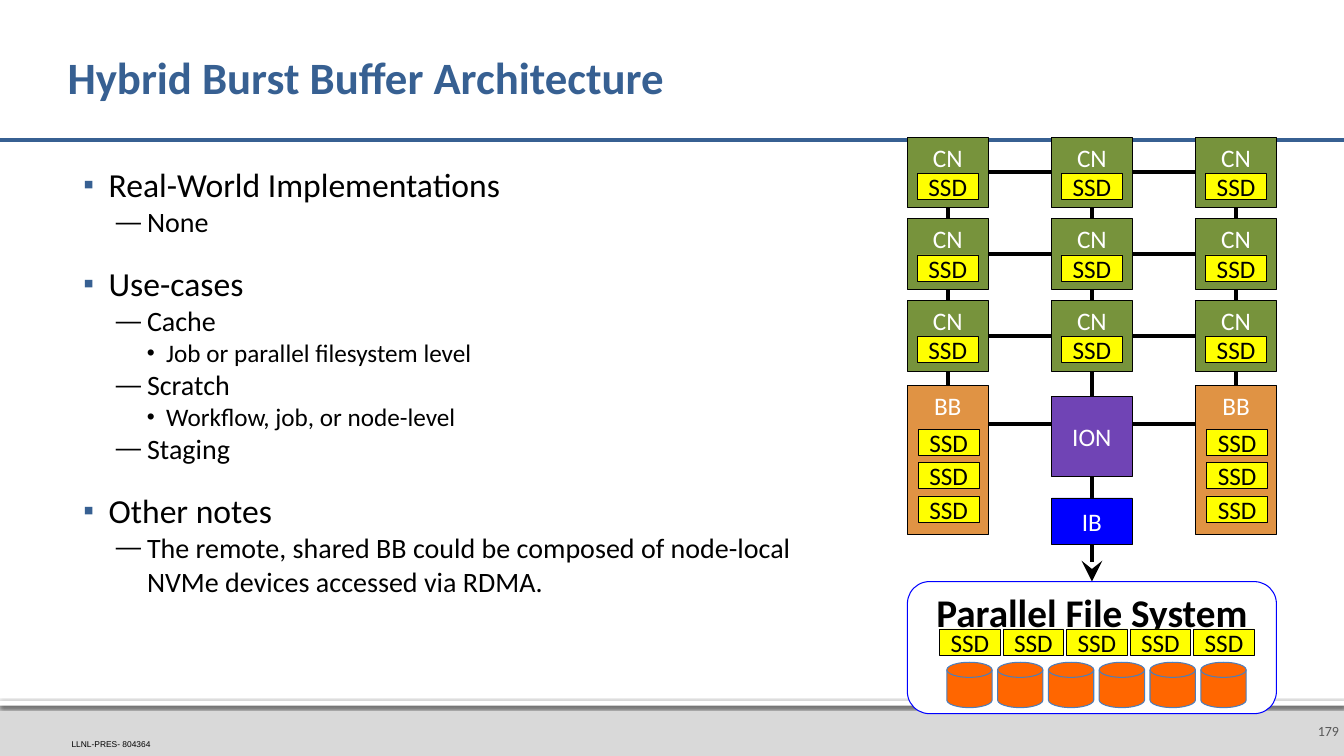
from lxml import etree
from pptx import Presentation
from pptx import util as u
from pptx.dml.color import RGBColor
from pptx.enum import shapes, text
from pptx.oxml import ns

EMU_PER_PX = 9144  # 100 px to the inch

BLACK = RGBColor(0x00, 0x00, 0x00)
WHITE = RGBColor(0xFF, 0xFF, 0xFF)
NAVY = RGBColor(0x37, 0x60, 0x92)
FOOTER_GREY = RGBColor(0xD9, 0xD9, 0xD9)
NUMBER_GREY = RGBColor(0x59, 0x59, 0x59)
GREEN = RGBColor(0x77, 0x93, 0x3C)
ORANGE = RGBColor(0xE0, 0x93, 0x44)
PURPLE = RGBColor(0x70, 0x44, 0xB5)
BLUE = RGBColor(0x00, 0x00, 0xFF)
YELLOW = RGBColor(0xFF, 0xFF, 0x00)
DISK_ORANGE = RGBColor(0xFF, 0x66, 0x00)
DISK_LINE = RGBColor(0x4B, 0x7E, 0xBC)

RECT = shapes.MSO_SHAPE.RECTANGLE
TOP, MIDDLE, BOTTOM = (text.MSO_ANCHOR.TOP, text.MSO_ANCHOR.MIDDLE,
                       text.MSO_ANCHOR.BOTTOM)
LEFT, CENTER, RIGHT = (text.PP_ALIGN.LEFT, text.PP_ALIGN.CENTER,
                       text.PP_ALIGN.RIGHT)
SIDE_TOP, SIDE_LEFT, SIDE_BOTTOM, SIDE_RIGHT = range(4)

# Bullet, text indent px, hanging px, size, bullet colour for each level
LEVELS = [("▪", 31, 25, 24, NAVY), ("—", 69, 31, 20, None),
          ("•", 88, 19, 18, None)]
BODY = [
    (0, "Real-World Implementations"),
    (1, "None"),
    (0, "Use-cases"),
    (1, "Cache"),
    (2, "Job or parallel filesystem level"),
    (1, "Scratch"),
    (2, "Workflow, job, or node-level"),
    (1, "Staging"),
    (0, "Other notes"),
    (1, "The remote, shared BB could be composed of node-local "
        "NVMe devices accessed via RDMA."),
]


def px(n):
    return u.Emu(round(n * EMU_PER_PX))


def sub(parent, tag, **attrs):
    return etree.SubElement(parent, ns.qn(tag), attrs)


def add_run(p, words, size, color, bold=False, font="Calibri"):
    r = p.add_run()
    r.text = words
    r.font.name, r.font.size, r.font.bold = font, u.Pt(size), bold
    r.font.color.rgb = color


def set_frame(sp, anchor, insets):
    tf = sp.text_frame
    tf.word_wrap = True
    tf.vertical_anchor = anchor
    (tf.margin_left, tf.margin_top,
     tf.margin_right, tf.margin_bottom) = map(px, insets)
    return tf


def add_box(s, kind, box, fill, line=BLACK, weight=0.5):
    sp = s.shapes.add_shape(kind, *map(px, box))
    sp.shadow.inherit = False
    sp.fill.solid()
    sp.fill.fore_color.rgb = fill
    if line is None:
        sp.line.fill.background()
    else:
        sp.line.color.rgb = line
        sp.line.width = u.Pt(weight)
    return sp


def add_label_box(s, box, fill, label, color=WHITE, anchor=MIDDLE):
    sp = add_box(s, RECT, box, fill)
    p = set_frame(sp, anchor, (0, 5 if anchor == TOP else 0, 0, 0)).paragraphs[0]
    p.alignment = CENTER
    add_run(p, label, 18, color)
    return sp


def add_ssd(s, x, y):
    add_label_box(s, (x, y, 60, 26), YELLOW, "SSD", BLACK)


def add_text(s, box, words, size, color, anchor, insets, align=LEFT, **style):
    sp = s.shapes.add_textbox(*map(px, box))
    p = set_frame(sp, anchor, insets).paragraphs[0]
    p.alignment = align
    add_run(p, words, size, color, **style)
    return p


def add_link(s, x1, y1, x2, y2, color=BLACK):
    c = s.shapes.add_connector(shapes.MSO_CONNECTOR.STRAIGHT,
                               *map(px, (x1, y1, x2, y2)))
    c.line.color.rgb = color
    c.line.width = u.Pt(3)
    sub(c._element.spPr, "a:effectLst")
    return c


def join(link, start, start_side, end, end_side):
    link.begin_connect(start, start_side)
    link.end_connect(end, end_side)


def draw_footer(s, x, y, w, h):
    add_box(s, RECT, (x, y, w, h), FOOTER_GREY, None)
    strip = add_box(s, RECT, (x, y, w, 5), WHITE, None)
    effects = strip._element.spPr.find(ns.qn("a:effectLst"))
    shadow = sub(effects, "a:outerShdw", blurRad=str(u.Pt(2.5)),
                 dist=str(u.Pt(0.8)), dir="5400000", rotWithShape="0")
    sub(sub(shadow, "a:srgbClr", val=str(BLACK)), "a:alpha", val="60000")
    add_text(s, (x + w - 46, y + 5, 46, 50), "179", 10, NUMBER_GREY, MIDDLE,
             (10, 5, 5, 5), RIGHT)
    add_text(s, (x + 71, y + 38, 127, 10), "LLNL-PRES- 804364", 6, BLACK,
             BOTTOM, (0, 0, 0, 0), font="Arial")


def draw_header(s, x, y, w, h):
    add_link(s, x, y + h, x + w, y + h, NAVY)
    p = add_text(s, (x + 67, y + 24, 1200, 110), "Hybrid Burst Buffer Architecture",
                 32, NAVY, MIDDLE, (0, 5, 5, 5), bold=True)
    p.line_spacing = 0.9


def draw_body(s, x, y, w, h):
    sp = s.shapes.add_textbox(*map(px, (x, y, w, h)))
    tf = set_frame(sp, TOP, (10, 5, 10, 5))
    for i, (level, words) in enumerate(BODY):
        bullet, indent, hang, size, color = LEVELS[level]
        p = tf.add_paragraph() if i else tf.paragraphs[0]
        p.level = level
        if i and level == 0:
            p.space_before = u.Pt(18)
        pPr = p._p.get_or_add_pPr()
        pPr.set("marL", str(px(indent)))
        pPr.set("indent", str(px(-hang)))
        if color is not None:
            sub(sub(pPr, "a:buClr"), "a:srgbClr", val=str(color))
        sub(pPr, "a:buSzPct", val="90000")
        sub(pPr, "a:buFont", typeface="Arial")
        sub(pPr, "a:buChar", char=bullet)
        add_run(p, words, size, BLACK)


def draw_file_system(s, x, y, w, h):
    sp = add_box(s, shapes.MSO_SHAPE.ROUNDED_RECTANGLE, (x, y, w, h), WHITE, BLUE, 0.75)
    p = set_frame(sp, TOP, (10, 0, 10, 0)).paragraphs[0]
    p.alignment = CENTER
    add_run(p, "Parallel File System", 28, BLACK, bold=True)
    for i in range(6):
        add_box(s, shapes.MSO_SHAPE.FLOWCHART_MAGNETIC_DISK,
                (x + 39 + 50.4 * i, y + 80, 45, 45), DISK_ORANGE, DISK_LINE, 0.75)
    for i in range(5):
        add_ssd(s, x + 32 + 63 * i, y + 47)
    return sp


def draw_architecture(s, x, y, w, h):
    node_w, node_h, row_step = 80, 70, 81
    cols = [x + i * (w - node_w) // 2 for i in range(3)]
    rows = [y + i * row_step for i in range(3)]
    mids = [c + node_w // 2 for c in cols]

    # Burst buffers, with the link between them
    add_link(s, cols[0] + node_w, y + 285, cols[2], y + 285)
    buffers = {}
    for c in (0, 2):
        buffers[c] = add_label_box(s, (cols[c], y + 246, node_w, 148), ORANGE,
                                   "BB", anchor=TOP)
        for i in range(3):
            add_ssd(s, cols[c] + 11, y + 290 + 33 * i)

    # Compute nodes over their mesh links
    across = [add_link(s, cols[0] + node_w, r + 35, cols[2], r + 35) for r in rows]
    down = [add_link(s, m, rows[0] + node_h, m, rows[2]) for m in mids]
    nodes = [[add_label_box(s, (c, r, node_w, node_h), GREEN, "CN", anchor=TOP)
              for c in cols] for r in rows]
    for i in range(3):
        join(across[i], nodes[i][0], SIDE_RIGHT, nodes[i][2], SIDE_LEFT)
        join(down[i], nodes[0][i], SIDE_BOTTOM, nodes[2][i], SIDE_TOP)
    for r in rows:
        for c in cols:
            add_ssd(s, c + 10, r + 36)

    # Path from the nodes to the file system
    node_bottom = rows[2] + node_h
    path_link = add_link(s, mids[1], node_bottom, mids[1], y + 441)
    sub(path_link.line._get_or_add_ln(), "a:tailEnd", type="stealth", w="lg", len="lg")
    add_label_box(s, (cols[1], y + 358, node_w, 46), BLUE, "IB")
    add_label_box(s, (cols[1], y + 257, node_w, 80), PURPLE, "ION")
    for c, buffer in buffers.items():
        link = add_link(s, mids[c], node_bottom, mids[c], y + 246)
        join(link, nodes[2][c], SIDE_BOTTOM, buffer, SIDE_TOP)
    file_system = draw_file_system(s, x, y + 441, w, h - 441)
    join(path_link, nodes[2][1], SIDE_BOTTOM, file_system, SIDE_TOP)


def main():
    prs = Presentation()
    prs.slide_width, prs.slide_height = px(1333), px(750)
    s = prs.slides.add_slide(prs.slide_layouts[6])
    draw_footer(s, 0, 695, 1333, 55)
    draw_header(s, 0, 0, 1333, 139)
    draw_architecture(s, 900, 136, 366, 572)
    draw_body(s, 67, 158, 746, 537)
    prs.save("out.pptx")


if __name__ == "__main__":
    main()
